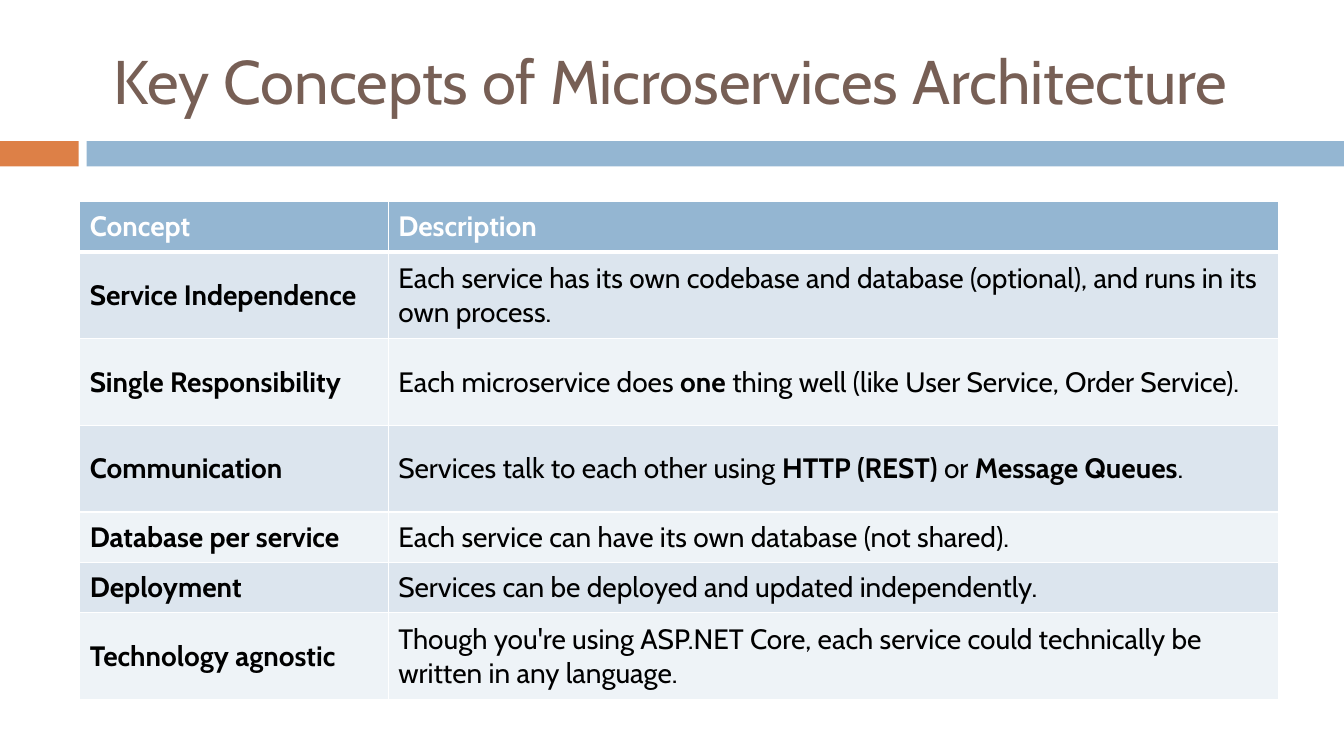
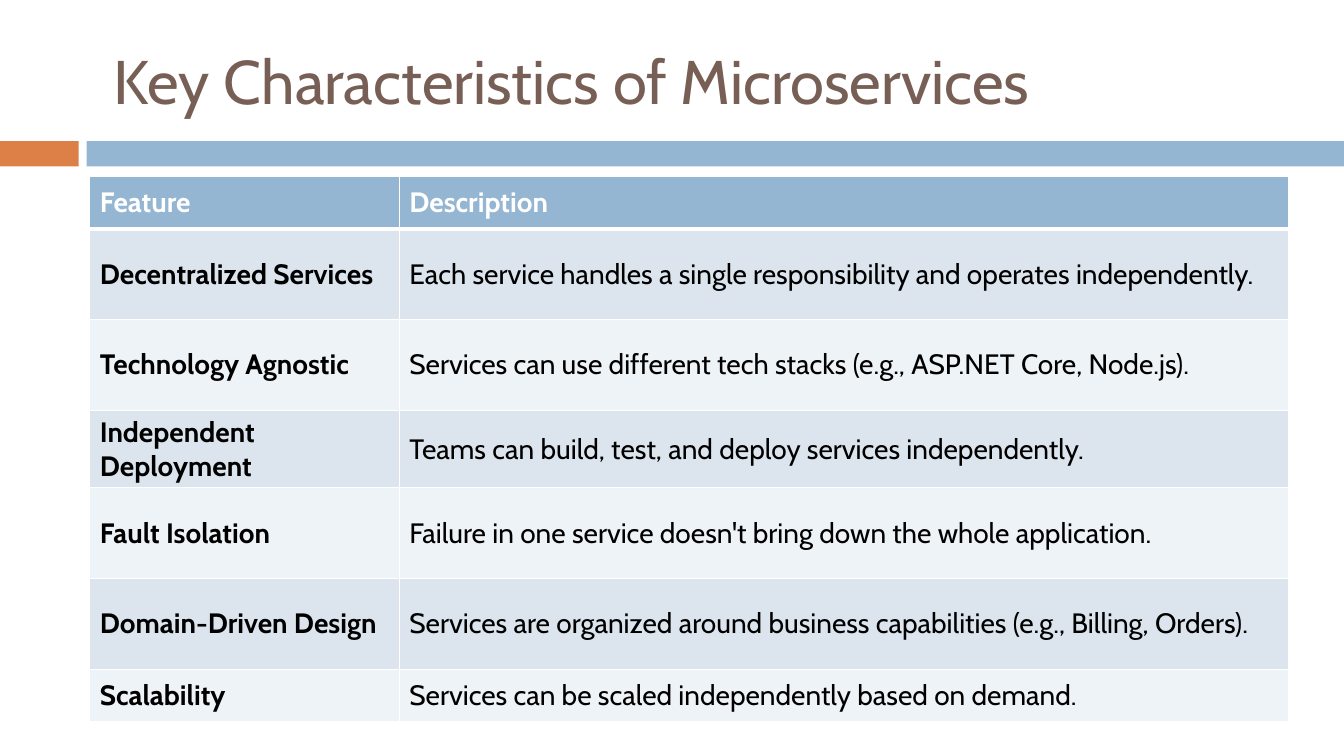
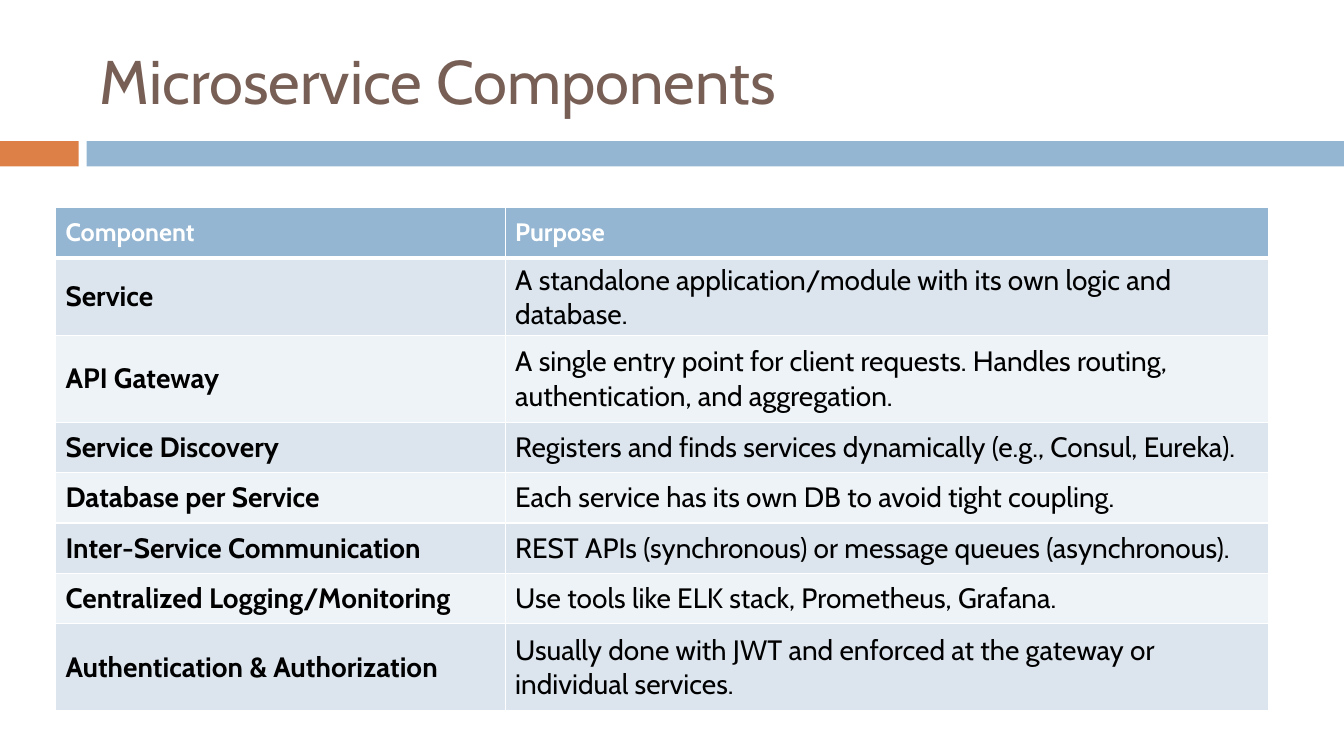
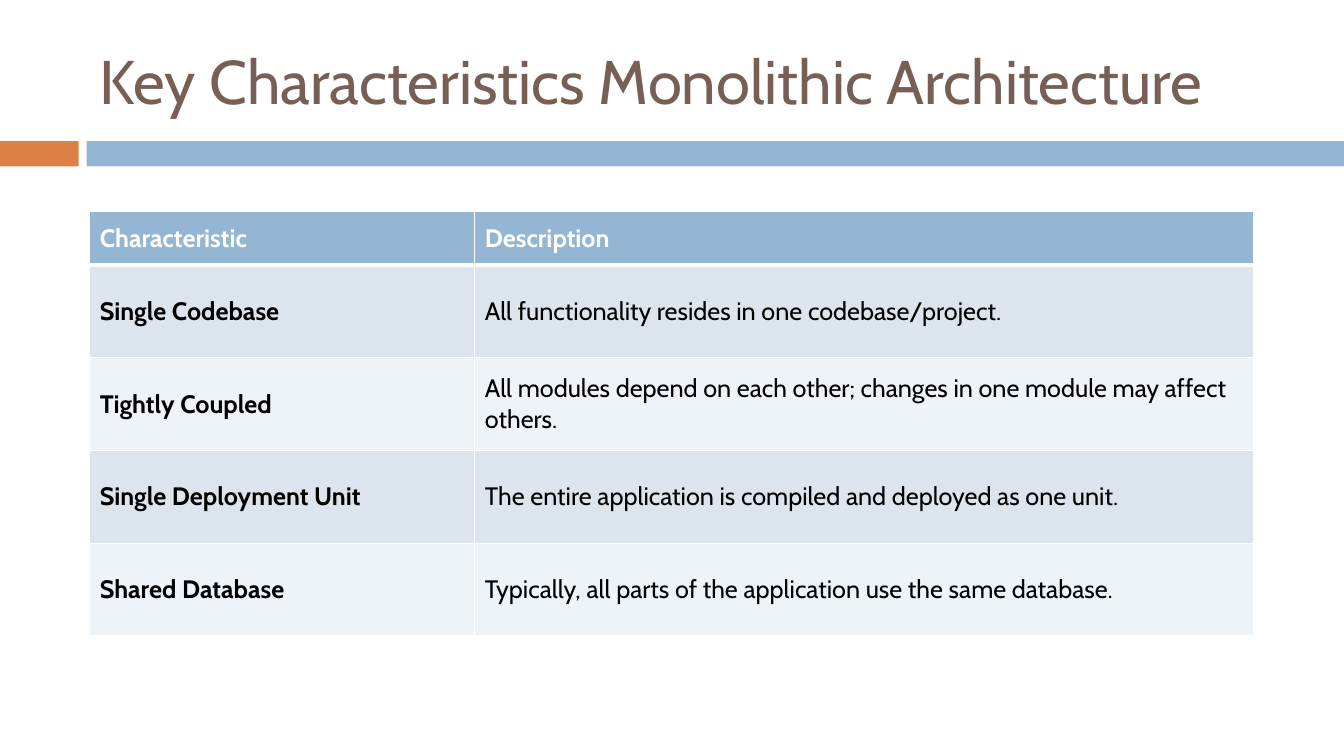
from lxml import etree
from pptx import Presentation
from pptx.dml.color import RGBColor
from pptx.enum.shapes import MSO_SHAPE
from pptx.enum.text import MSO_ANCHOR
from pptx.oxml.ns import qn
from pptx.util import Inches, Pt

RECT = MSO_SHAPE.RECTANGLE
MIDDLE = MSO_ANCHOR.MIDDLE

# Shared style
FONT = "Cabin"
BROWN = RGBColor(0x77, 0x5F, 0x55)
ORANGE = RGBColor(0xDD, 0x80, 0x47)
BLUE = RGBColor(0x94, 0xB6, 0xD2)
PALE = RGBColor(0xDC, 0xE5, 0xEE)
LIGHT = RGBColor(0xEE, 0xF3, 0xF7)
WHITE = RGBColor(0xFF, 0xFF, 0xFF)
BLACK = RGBColor(0x00, 0x00, 0x00)

WIDTH, HEIGHT = 13.33, 7.5
TITLE_BOX = (0.89, 0.25, 11.89, 1.08)
BANDS = [(0, 0.78, ORANGE), (0.86, 12.47, BLUE)]
BAND_TOP, BAND_TALL = 1.4, 0.25

# Slide content: "**" switches bold on and off in a cell
SLIDES = [
    dict(
        title="Key Concepts of Microservices Architecture", indent=0.14,
        left=0.79, top=2, cols=[3.06, 8.83],
        heights=[0.5, 0.86, 0.86, 0.86, 0.5, 0.5, 0.86],
        head_size=20, size=20,
        rows=[
            ("Concept", "Description"),
            ("Service Independence",
             "Each service has its own codebase and database (optional), "
             "and runs in its own process."),
            ("Single Responsibility",
             "Each microservice does **one** thing well "
             "(like User Service, Order Service)."),
            ("Communication",
             "Services talk to each other using **HTTP (REST)** "
             "or **Message Queues**."),
            ("Database per service",
             "Each service can have its own database (not shared)."),
            ("Deployment",
             "Services can be deployed and updated independently."),
            ("Technology agnostic",
             "Though you're using ASP.NET Core, each service could "
             "technically be written in any language."),
        ]),
    dict(
        title="Key Characteristics of Microservices", indent=0.14,
        left=0.89, top=1.75, cols=[3.07, 8.82],
        heights=[0.52, 0.9, 0.9, 0.77, 0.9, 0.9, 0.52],
        head_size=20, size=20,
        rows=[
            ("Feature", "Description"),
            ("Decentralized Services",
             "Each service handles a single responsibility and operates "
             "independently."),
            ("Technology Agnostic",
             "Services can use different tech stacks "
             "(e.g., ASP.NET Core, Node.js)."),
            ("Independent Deployment",
             "Teams can build, test, and deploy services independently."),
            ("Fault Isolation",
             "Failure in one service doesn't bring down the whole "
             "application."),
            ("Domain-Driven Design",
             "Services are organized around business capabilities "
             "(e.g., Billing, Orders)."),
            ("Scalability",
             "Services can be scaled independently based on demand."),
        ]),
    dict(
        title="Microservice Components", indent=0,
        left=0.55, top=2.06, cols=[4.46, 7.57],
        heights=[0.5, 0.77, 0.86, 0.5, 0.5, 0.5, 0.5, 0.86],
        head_size=18, size=20,
        rows=[
            ("Component", "Purpose"),
            ("Service",
             "A standalone application/module with its own logic and "
             "database."),
            ("API Gateway",
             "A single entry point for client requests. Handles routing, "
             "authentication, and aggregation."),
            ("Service Discovery",
             "Registers and finds services dynamically "
             "(e.g., Consul, Eureka)."),
            ("Database per Service",
             "Each service has its own DB to avoid tight coupling."),
            ("Inter-Service Communication",
             "REST APIs (synchronous) or message queues (asynchronous)."),
            ("Centralized Logging/Monitoring",
             "Use tools like ELK stack, Prometheus, Grafana."),
            ("Authentication & Authorization",
             "Usually done with JWT and enforced at the gateway or "
             "individual services."),
        ]),
    dict(
        title="Key Characteristics Monolithic Architecture", indent=0,
        left=0.89, top=2.1, cols=[3.82, 7.72],
        heights=[0.53] + [0.92] * 4,
        head_size=18, size=18,
        rows=[
            ("Characteristic", "Description"),
            ("Single Codebase",
             "All functionality resides in one codebase/project."),
            ("Tightly Coupled",
             "All modules depend on each other; changes in one module may "
             "affect others."),
            ("Single Deployment Unit",
             "The entire application is compiled and deployed as one unit."),
            ("Shared Database",
             "Typically, all parts of the application use the same "
             "database."),
        ]),
]


def add_run(para, text, size, color, bold=False):
    run = para.add_run()
    run.text = text
    font = run.font
    font.name, font.size, font.bold = FONT, Pt(size), bold
    font.color.rgb = color


def add_bands(slide):
    for left, width, color in BANDS:
        band = slide.shapes.add_shape(
            RECT, Inches(left), Inches(BAND_TOP),
            Inches(width), Inches(BAND_TALL))
        band.shadow.inherit = False
        band.fill.solid()
        band.fill.fore_color.rgb = color
        band.line.fill.background()


def add_title(slide, box, text, indent):
    frame = slide.shapes.add_textbox(*map(Inches, box)).text_frame
    frame.word_wrap = True
    frame.vertical_anchor = MIDDLE
    frame.margin_left = Inches(0.1 + indent)
    add_run(frame.paragraphs[0], text, 44, BROWN)


def add_edges(cell, top, bottom):
    """White cell borders; widths in points."""
    props = cell._tc.get_or_add_tcPr()
    for side, width in zip("LRTB", (1, 1, top, bottom)):
        edge = etree.SubElement(props, qn("a:ln" + side), w=str(Pt(width)))
        fill = etree.SubElement(edge, qn("a:solidFill"))
        etree.SubElement(fill, qn("a:srgbClr"), val=str(WHITE))


def fill_cell(cell, text, row, col, size):
    head = row == 0
    add_edges(cell, 3 if row == 1 else 1, 3 if head else 1)
    cell.fill.solid()
    cell.fill.fore_color.rgb = BLUE if head else PALE if row % 2 else LIGHT
    cell.vertical_anchor = MIDDLE
    para = cell.text_frame.paragraphs[0]
    for i, part in enumerate(text.split("**")):
        bold = head or col == 0 or i % 2 == 1
        add_run(para, part, size, WHITE if head else BLACK, bold)


def add_grid(slide, data):
    rows, cols, tall = data["rows"], data["cols"], data["heights"]
    table = slide.shapes.add_table(
        len(rows), len(cols), Inches(data["left"]), Inches(data["top"]),
        Inches(sum(cols)), Inches(sum(tall))).table
    for col, width in zip(table.columns, cols):
        col.width = Inches(width)
    for r, texts in enumerate(rows):
        table.rows[r].height = Inches(tall[r])
        size = data["size"] if r else data["head_size"]
        for c, text in enumerate(texts):
            fill_cell(table.cell(r, c), text, r, c, size)


def main():
    deck = Presentation()
    deck.slide_width, deck.slide_height = Inches(WIDTH), Inches(HEIGHT)
    blank = deck.slide_layouts[6]
    for data in SLIDES:
        slide = deck.slides.add_slide(blank)
        add_bands(slide)
        add_title(slide, TITLE_BOX, data["title"], data["indent"])
        add_grid(slide, data)
    deck.save("out.pptx")


if __name__ == "__main__":
    main()
